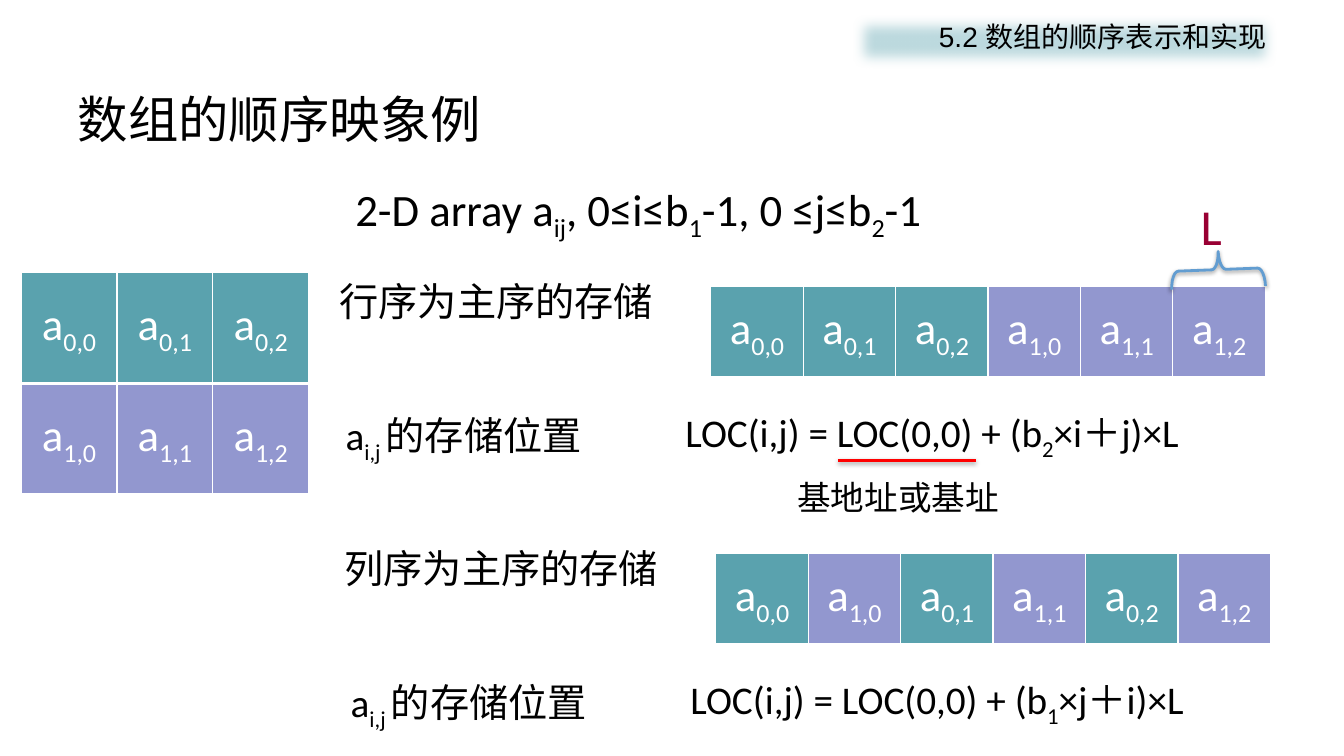
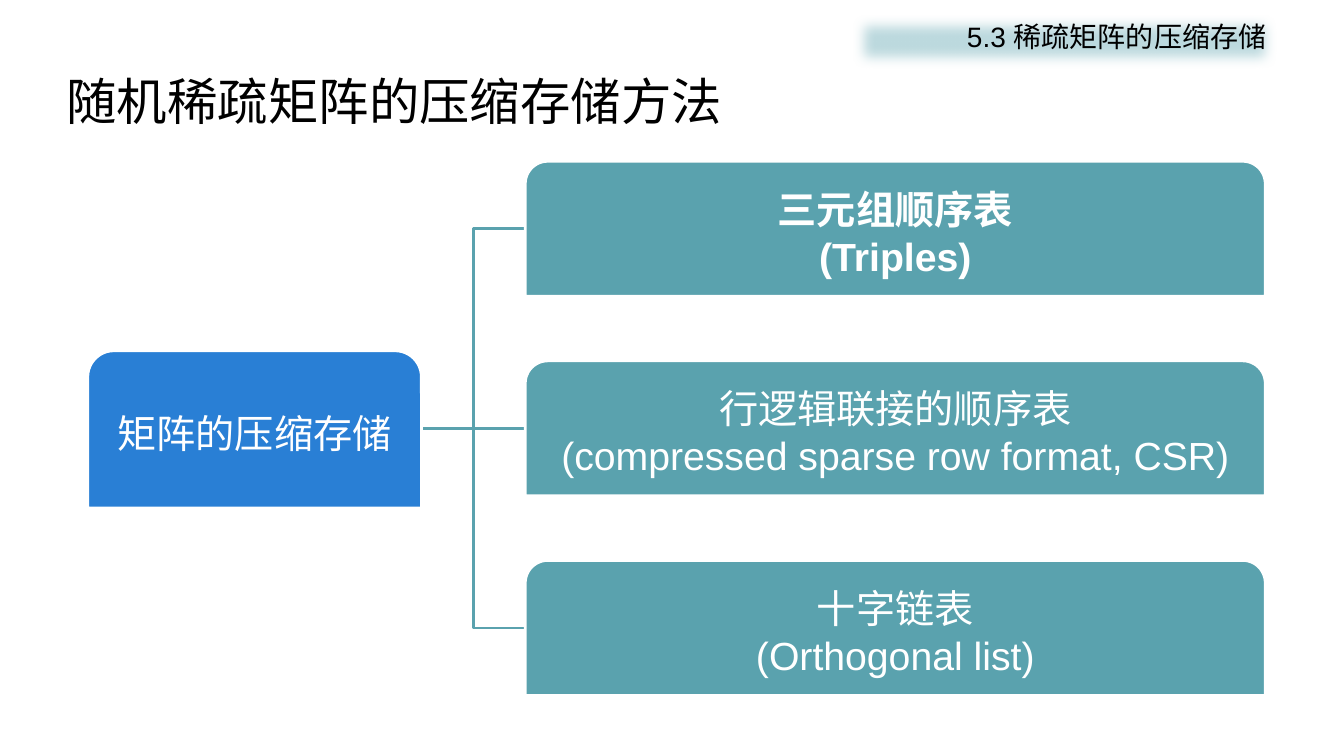
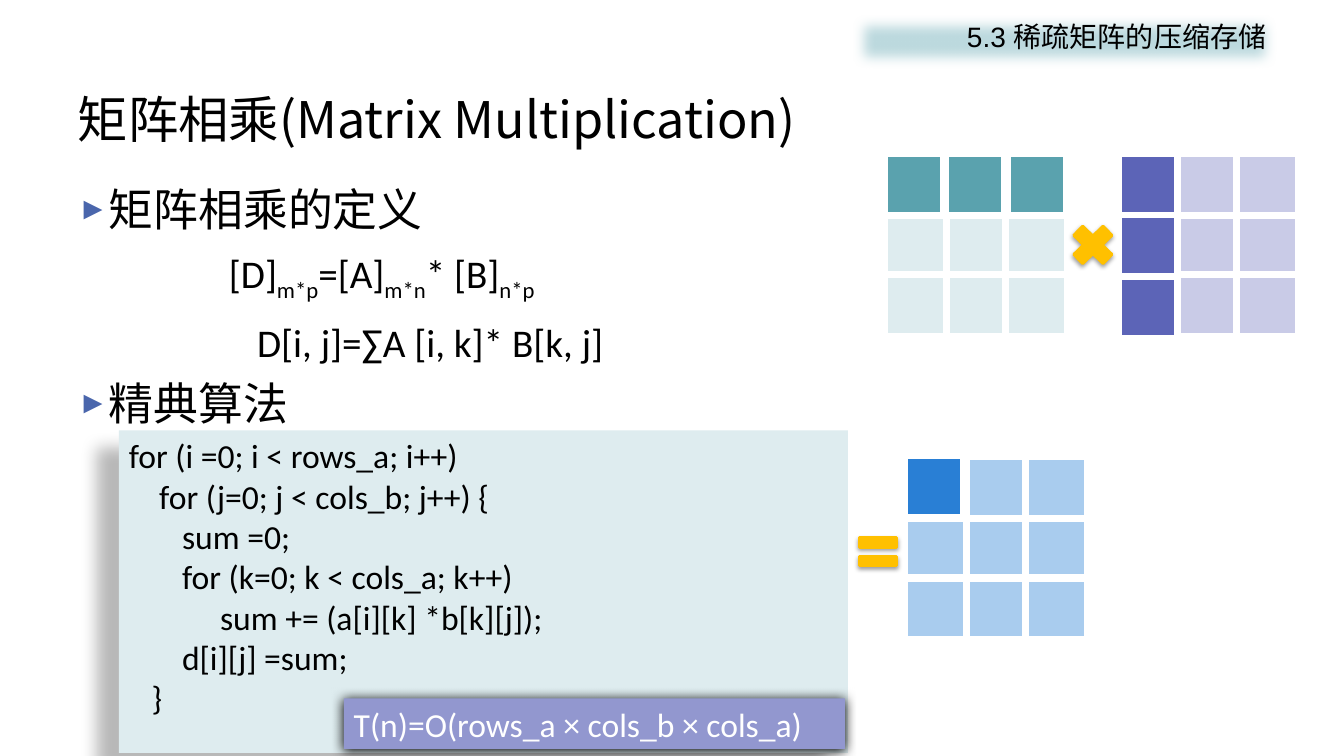
from dataclasses import dataclass
from typing import NamedTuple, Optional, Sequence

from lxml import etree
from pptx import Presentation
from pptx.dml.color import RGBColor
from pptx.enum.shapes import MSO_CONNECTOR, MSO_SHAPE
from pptx.enum.text import MSO_ANCHOR, MSO_AUTO_SIZE, PP_ALIGN
from pptx.oxml.ns import qn
from pptx.util import Inches, Pt

COLUMNS, ROWS = 1333, 750
SLIDE_W, SLIDE_H = Inches(13.33), Inches(7.5)

LEFT, CENTER, RIGHT = PP_ALIGN.LEFT, PP_ALIGN.CENTER, PP_ALIGN.RIGHT
TOP, MIDDLE = MSO_ANCHOR.TOP, MSO_ANCHOR.MIDDLE
NO_FIT = MSO_AUTO_SIZE.NONE
RECTANGLE, BRACE = MSO_SHAPE.RECTANGLE, MSO_SHAPE.LEFT_BRACE
TAB = MSO_SHAPE.ROUND_2_SAME_RECTANGLE
TIMES, EQUALS = MSO_SHAPE.MATH_MULTIPLY, MSO_SHAPE.MATH_EQUAL
STRAIGHT, ELBOW = MSO_CONNECTOR.STRAIGHT, MSO_CONNECTOR.ELBOW

BLACK = RGBColor(0x00, 0x00, 0x00)
WHITE = RGBColor(0xFF, 0xFF, 0xFF)
TEAL = RGBColor(0x5A, 0xA2, 0xAE)
PALE_TEAL = RGBColor(0xDE, 0xEC, 0xEF)
BAND = RGBColor(0xBD, 0xDA, 0xDF)
LILAC = RGBColor(0x92, 0x97, 0xCF)
PALE_LILAC = RGBColor(0xC9, 0xCB, 0xE7)
INDIGO = RGBColor(0x5C, 0x64, 0xB7)
BLUE = RGBColor(0x29, 0x7F, 0xD5)
PALE_BLUE = RGBColor(0xA9, 0xCC, 0xEE)
SKY = RGBColor(0x62, 0x9D, 0xD1)
BULLET = RGBColor(0x4A, 0x66, 0xAC)
GOLD = RGBColor(0xFF, 0xC0, 0x00)
RED = RGBColor(0xFF, 0x00, 0x00)
CRIMSON = RGBColor(0x99, 0x00, 0x33)

HAN, SANS, ARIAL = "Noto Sans CJK SC", "Calibri", "Arial"


class Box(NamedTuple):
    col: float
    row: float
    cols: float
    rows: float

    def emu(self) -> list[int]:
        return [x(self.col), y(self.row), x(self.cols), y(self.rows)]


class Shadow(NamedTuple):
    alpha: int
    blur: float
    distance: float
    angle: int


class Look(NamedTuple):
    size: float
    font: str = SANS
    color: RGBColor = BLACK
    align: PP_ALIGN = LEFT
    bold: bool = False


class Line(NamedTuple):
    text: str
    look: Look
    before: float = 0
    indent: float = 0
    bullet: bool = False


@dataclass(frozen=True)
class Grid:
    box: Box
    fills: Sequence[Sequence[RGBColor]]
    labels: Optional[Sequence[Sequence[str]]] = None
    outer: str = ""
    col_line: float = 6
    row_line: float = 6


@dataclass(frozen=True)
class Label:
    box: Box
    text: str
    look: Look


SECTION_BOX = Box(846, 14, 420, 54)
TITLE_LOOK = Look(36, HAN)
SECTION_LOOK = Look(20, ARIAL, align=RIGHT)
CELL_LOOK = Look(32, color=WHITE, align=CENTER)
SOFT = Shadow(38, 3.15, 1.57, 90)


def x(cols: float) -> int:
    return round(SLIDE_W * cols / COLUMNS)


def y(rows: float) -> int:
    return round(SLIDE_H * rows / ROWS)


def set_all(target, values: dict) -> None:
    for key, value in values.items():
        setattr(target, key, value)


def place(shape, box: Box) -> None:
    set_all(shape, dict(zip(("left", "top", "width", "height"), box.emu())))


def set_bullet(paragraph, line: Line) -> None:
    props = paragraph._p.get_or_add_pPr()
    hang = x(28) if line.bullet else 0
    props.set("marL", str(hang or x(line.indent)))
    props.set("indent", str(-hang))
    if not line.bullet:
        etree.SubElement(props, qn("a:buNone"))
        return
    tint = etree.SubElement(props, qn("a:buClr"))
    etree.SubElement(tint, qn("a:srgbClr"), val=str(BULLET))
    etree.SubElement(props, qn("a:buSzPct"), val="70000")
    etree.SubElement(props, qn("a:buChar"), char="►")


def write(frame, lines: Sequence[Line], anchor: MSO_ANCHOR = TOP) -> None:
    set_all(frame, {"word_wrap": True, "auto_size": NO_FIT, "vertical_anchor": anchor})
    for number, line in enumerate(lines):
        paragraph = frame.add_paragraph() if number else frame.paragraphs[0]
        set_bullet(paragraph, line)
        look = line.look
        set_all(paragraph, {"alignment": look.align, "space_before": Pt(line.before)})
        for part, text in enumerate(line.text.split("|")):
            if not text:
                continue
            run = paragraph.add_run()
            run.text = text
            run.font.color.rgb = look.color
            set_all(run.font, {"size": Pt(look.size), "name": look.font, "bold": look.bold})
            props = run.font._element
            etree.SubElement(props, qn("a:ea"), typeface=HAN)
            if part % 2:
                props.set("baseline", "-25000")


def set_shadow(shape, shadow: Optional[Shadow] = None) -> None:
    effects = etree.SubElement(shape._element.spPr, qn("a:effectLst"))
    if shadow:
        cast = etree.SubElement(
            effects, qn("a:outerShdw"), blurRad=str(Pt(shadow.blur)),
            dist=str(Pt(shadow.distance)), dir=str(shadow.angle * 60000),
            algn="ctr", rotWithShape="0")
        tint = etree.SubElement(cast, qn("a:srgbClr"), val=str(BLACK))
        etree.SubElement(tint, qn("a:alpha"), val=str(shadow.alpha * 1000))


def add_figure(slide, kind: MSO_SHAPE, box: Box, fill: Optional[RGBColor] = None,
               line: Optional[RGBColor] = None, shadow: Optional[Shadow] = None):
    figure = slide.shapes.add_shape(kind, *box.emu())
    if fill is None:
        figure.fill.background()
    else:
        figure.fill.solid()
        figure.fill.fore_color.rgb = fill
    if line is None:
        figure.line.fill.background()
    else:
        figure.line.color.rgb = line
        figure.line.width = Pt(2)
    set_shadow(figure, shadow)
    return figure


def add_line(slide, kind: MSO_CONNECTOR, start: tuple, end: tuple,
             color: RGBColor, shadow: Optional[Shadow] = None) -> None:
    link = slide.shapes.add_connector(kind, x(start[0]), y(start[1]), x(end[0]), y(end[1]))
    link.line.color.rgb = color
    link.line.width = Pt(2)
    set_shadow(link, shadow)


def add_label(slide, label: Label) -> None:
    box = slide.shapes.add_textbox(*label.box.emu())
    write(box.text_frame, [Line(label.text, label.look)])


def set_border(cell, side: str, width: float) -> None:
    edge = etree.SubElement(cell._tc.get_or_add_tcPr(), qn(f"a:ln{side}"), w=str(Pt(width)))
    paint = etree.SubElement(edge, qn("a:solidFill"))
    etree.SubElement(paint, qn("a:srgbClr"), val=str(WHITE))


def add_grid(slide, grid: Grid) -> None:
    height, width = len(grid.fills), len(grid.fills[0])
    table = slide.shapes.add_table(height, width, *grid.box.emu()).table
    set_all(table, {"first_row": False, "horz_banding": False})
    for r, fills in enumerate(grid.fills):
        for c, fill in enumerate(fills):
            cell = table.cell(r, c)
            inner = {"L": c > 0, "R": c < width - 1, "T": r > 0, "B": r < height - 1}
            for side, shared in inner.items():
                if shared or side in grid.outer:
                    thick = side == "B" or (side == "T" and shared)
                    set_border(cell, side, grid.row_line if thick else grid.col_line)
            cell.fill.solid()
            cell.fill.fore_color.rgb = fill
            if grid.labels:
                write(cell.text_frame, [Line(grid.labels[r][c], CELL_LOOK)])
                cell.vertical_anchor = MIDDLE


def start_slide(deck, layout: int, title: str, title_box: Box, section: str):
    slide = deck.slides.add_slide(deck.slide_layouts[layout])
    heading, *bodies = slide.placeholders
    place(heading, title_box)
    write(heading.text_frame, [Line(title, TITLE_LOOK)], MIDDLE)
    band = bodies[-1]
    place(band, SECTION_BOX)
    band.fill.solid()
    band.fill.fore_color.rgb = BAND
    effects = etree.SubElement(band._element.spPr, qn("a:effectLst"))
    etree.SubElement(effects, qn("a:softEdge"), rad="112500")
    write(band.text_frame, [Line(section, SECTION_LOOK)])
    return slide, bodies[0]


def element(r: int, c: int) -> str:
    return f"a|{r},{c}|"


def build_mapping(deck) -> None:
    slide, intro = start_slide(deck, 3, "数组的顺序映象例", Box(67, 80, 1200, 75),
                               "5.2 数组的顺序表示和实现")
    place(intro, Box(177, 175, 912, 75))
    write(intro.text_frame, [
        Line("2-D array a|ij|, 0≤i≤b|1|-1, 0 ≤j≤b|2|-1", Look(32, align=CENTER))])

    row_fills = (TEAL, LILAC)
    by_row = [(r, c) for r in range(2) for c in range(3)]
    by_column = sorted(by_row, key=lambda spot: spot[1])
    frame = {"outer": "LTRB", "col_line": 1, "row_line": 3}
    add_grid(slide, Grid(
        Box(21, 270, 285, 221), [[fill] * 3 for fill in row_fills],
        [[element(r, c) for c in range(3)] for r in range(2)], **frame))

    storages = (
        (0, 0, by_row, "行序为主序的存储", "LOC(i,j) = LOC(0,0) + (b|2|×i＋j)×L"),
        (5, 265, by_column, "列序为主序的存储", "LOC(i,j) = LOC(0,0) + (b|1|×j＋i)×L"),
    )
    for right, down, order, name, formula in storages:
        add_grid(slide, Grid(
            Box(705 + right, 284 + down, 550, 91), [[row_fills[r] for r, _ in order]],
            [[element(r, c) for r, c in order]], **frame))
        for label in (
            Label(Box(327 + right, 270 + down, 339, 57), name, Look(28, ARIAL)),
            Label(Box(333 + right, 403 + down, 285, 57), "a|i,j |的存储位置", Look(28)),
            Label(Box(670 + right, 400 + down, 597, 57), formula, Look(28)),
        ):
            add_label(slide, label)

    brace = add_figure(slide, BRACE, Box(1190, 221, 36, 93), line=SKY, shadow=SOFT)
    brace.rotation = 87.8
    brace._element.spPr.xfrm.set("flipV", "1")
    brace.adjustments[0], brace.adjustments[1] = 0.2, 0.51
    add_label(slide, Label(Box(1181, 189, 64, 70), "L", Look(36, color=CRIMSON)))
    add_line(slide, STRAIGHT, (831, 457), (968, 457), RED, SOFT)
    add_label(slide, Label(Box(781, 468, 226, 50), "基地址或基址", Look(24, ARIAL)))


def add_node(slide, box: Box, fill: RGBColor, texts: Sequence[str], bold: bool = False) -> None:
    node = add_figure(slide, TAB, box, fill, WHITE)
    frame = node.text_frame
    set_all(frame, {f"margin_{side}": x(2) for side in ("left", "right", "top", "bottom")})
    look = Look(28, ARIAL, WHITE, CENTER, bold)
    write(frame, [Line(text, look) for text in texts], MIDDLE)


def build_methods(deck) -> None:
    slide, _ = start_slide(deck, 1, "随机稀疏矩阵的压缩存储方法", Box(56, 62, 1200, 75),
                           "5.3 稀疏矩阵的压缩存储")
    methods = (
        ("三元组顺序表", "(Triples)"),
        ("行逻辑联接的顺序表", "(compressed sparse row format, CSR)"),
        ("十字链表", "(Orthogonal list)"),
    )
    pitch, root_mid = 198, 425
    middles = [root_mid + pitch * (number - 1) for number in range(3)]
    for middle in middles:
        kind = STRAIGHT if middle == root_mid else ELBOW
        add_line(slide, kind, (419, root_mid), (521, middle), TEAL)
    add_node(slide, Box(87, 348, 331, 156), BLUE, ["矩阵的压缩存储"])
    for number, (middle, texts) in enumerate(zip(middles, methods)):
        add_node(slide, Box(521, middle - 67, 734, 134), TEAL, texts, number == 0)


CODE = """for (i =0; i < rows_a; i++)
    for (j=0; j < cols_b; j++) {
       sum =0;
       for (k=0; k < cols_a; k++)
            sum += (a[i][k] *b[k][j]);
       d[i][j] =sum;
   }"""


def build_product(deck) -> None:
    slide, outline = start_slide(deck, 3, "矩阵相乘(Matrix Multiplication)",
                                 Box(67, 80, 1200, 75), "5.3 稀疏矩阵的压缩存储")
    place(outline, Box(67, 175, 746, 262))
    write(outline.text_frame, [
        Line("矩阵相乘的定义", Look(32), bullet=True),
        Line("[D]|m*p|=[A]|m*n|* [B]|n*p|", Look(28), 10, 150),
        Line("D[i, j]=∑A [i, k]* B[k, j]", Look(28), 11, 178),
        Line("精典算法", Look(32), 7.5, bullet=True),
    ])

    listing = add_figure(slide, RECTANGLE, Box(118, 427, 723, 320), PALE_TEAL,
                         shadow=Shadow(28, 11.8, 19.7, 141))
    write(listing.text_frame, [Line(text, Look(24)) for text in CODE.split("\n")])
    cost = add_figure(slide, RECTANGLE, Box(341, 693, 497, 50), LILAC,
                      shadow=Shadow(100, 8.5, 1, 90))
    write(cost.text_frame, [Line("T(n)=O(rows_a × cols_b × cols_a)", Look(24, color=WHITE))])

    side, step = 59, 61
    for col, row, fill in ((880, 155, PALE_TEAL), (1109, 155, PALE_LILAC), (900, 456, PALE_BLUE)):
        add_grid(slide, Grid(Box(col, row, 176, 176), [[fill] * 3] * 3))
    marked = [(877 + step * n, 155, TEAL) for n in range(3)]
    marked += [(1109, 155 + step * n, INDIGO) for n in range(3)]
    marked.append((897, 455, BLUE))
    for col, row, fill in marked:
        add_grid(slide, Grid(Box(col, row, side, side), [[fill]], outer="LRB"))

    add_figure(slide, TIMES, Box(1056, 216, 56, 54), GOLD, GOLD, SOFT)
    equals = add_figure(slide, EQUALS, Box(846, 528, 50, 39), GOLD, GOLD, SOFT)
    equals.adjustments[0], equals.adjustments[1] = 0.24, 0.23


def main() -> None:
    deck = Presentation()
    set_all(deck, {"slide_width": SLIDE_W, "slide_height": SLIDE_H})
    for build in (build_mapping, build_methods, build_product):
        build(deck)
    deck.save("out.pptx")


if __name__ == "__main__":
    main()
